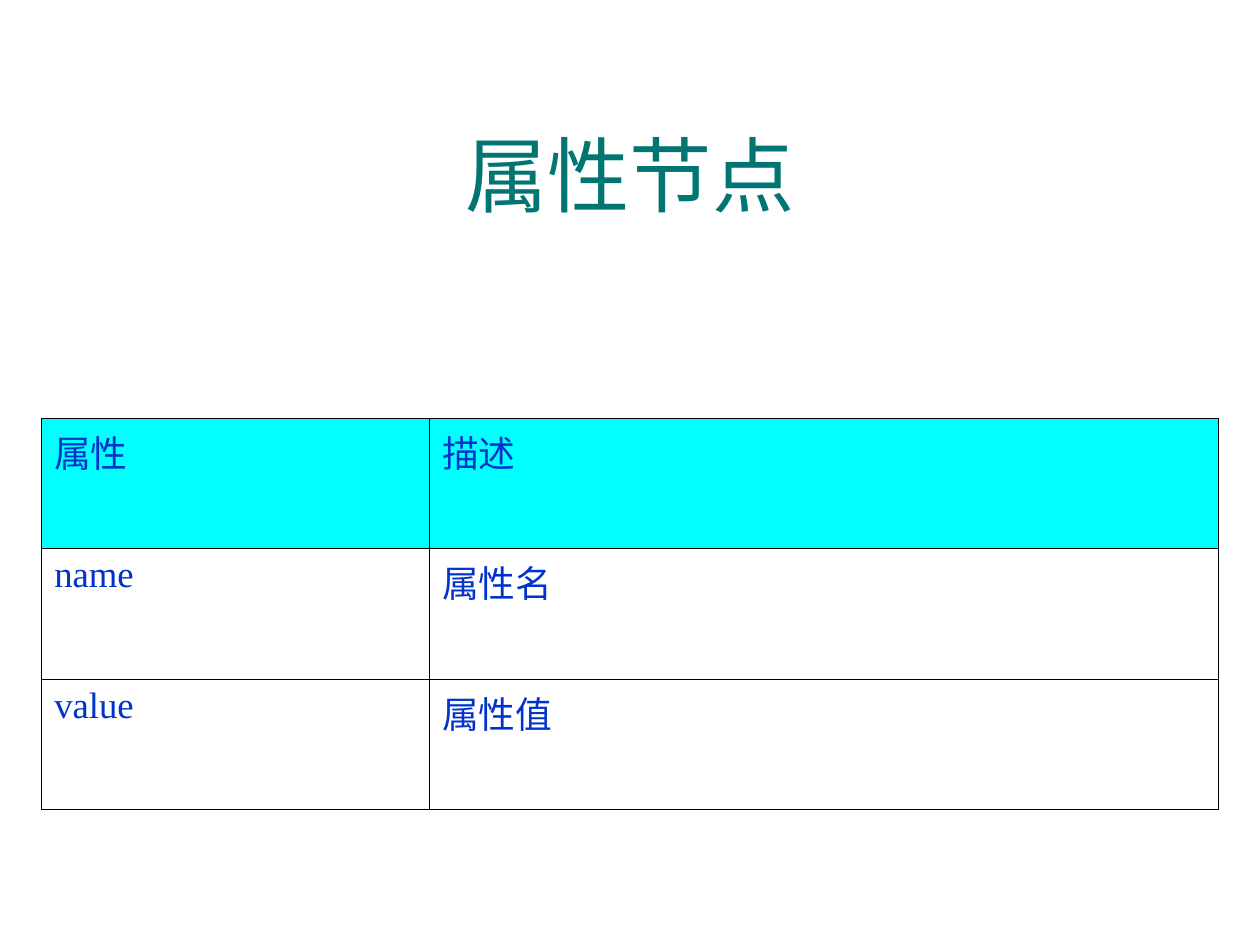
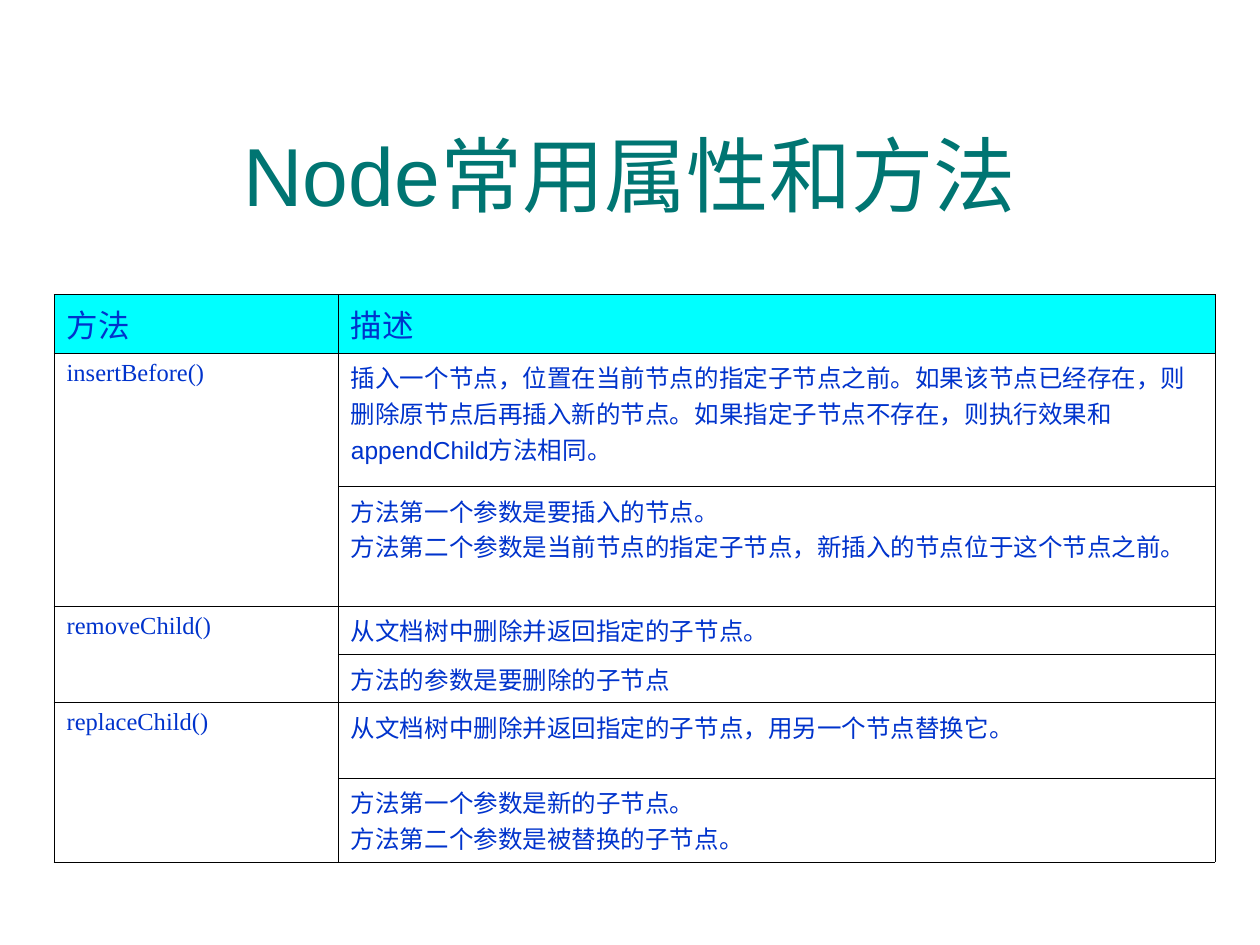
from dataclasses import dataclass

from lxml import etree
from pptx import Presentation
from pptx.dml.color import RGBColor
from pptx.enum import text
from pptx.oxml import ns
from pptx.util import Cm, Pt

COLOURS = {"title": "007572", "body": "0033CC", "header": "00FFFF", "border": "000000"}
TITLE_FONT, BODY_FONT = "Arial", "Times New Roman"
TITLE_ONLY = 5


@dataclass
class Cell:
    lines: str
    font: str = BODY_FONT


@dataclass
class TableSlide:
    title: str
    left: float
    top: float
    columns: list[float]
    row_heights: list[float]
    rows: list[list[Cell | None]]
    header_size: int
    body_size: int
    hanging: float = 0


ATTRIBUTE_NODE = TableSlide(
    title="属性节点",
    left=0.84, top=8.43,
    columns=[7.82, 15.9],
    row_heights=[2.63] * 3,
    rows=[
        [Cell("属性"), Cell("描述")],
        [Cell("name"), Cell("属性名")],
        [Cell("value"), Cell("属性值")],
    ],
    header_size=21, body_size=21, hanging=0.95,
)

# None continues the cell above it.
NODE_METHODS = TableSlide(
    title="Node常用属性和方法",
    left=1.09, top=5.94,
    columns=[5.73, 17.67],
    row_heights=[1.02, 2.69, 2.41, 0.97, 0.97, 1.52, 1.68],
    rows=[
        [Cell("方法"), Cell("描述")],
        [Cell("insertBefore()"),
         Cell("插入一个节点，位置在当前节点的指定子节点之前。如果该节点已经存在，则删除原节点后再插入新的节点。"
              "如果指定子节点不存在，则执行效果和appendChild方法相同。", TITLE_FONT)],
        [None, Cell("方法第一个参数是要插入的节点。\n"
                    "方法第二个参数是当前节点的指定子节点，新插入的节点位于这个节点之前。")],
        [Cell("removeChild()"), Cell("从文档树中删除并返回指定的子节点。")],
        [None, Cell("方法的参数是要删除的子节点")],
        [Cell("replaceChild()"), Cell("从文档树中删除并返回指定的子节点，用另一个节点替换它。")],
        [None, Cell("方法第一个参数是新的子节点。\n方法第二个参数是被替换的子节点。")],
    ],
    header_size=18, body_size=14,
)


def add_run(paragraph, content: str, font: str, size: int, colour: str) -> None:
    run = paragraph.add_run()
    run.text = content
    run.font.name = font
    run.font.size = Pt(size)
    run.font.color.rgb = RGBColor.from_string(COLOURS[colour])


def set_title(slide, content: str) -> None:
    title = slide.shapes.title
    title.left, title.top, title.width, title.height = Cm(0.84), Cm(1.9), Cm(23.72), Cm(3.18)
    frame = title.text_frame
    frame.word_wrap = True
    frame.auto_size = text.MSO_AUTO_SIZE.NONE
    frame.vertical_anchor = text.MSO_ANCHOR.MIDDLE
    paragraph = frame.paragraphs[0]
    paragraph.alignment = text.PP_ALIGN.CENTER
    add_run(paragraph, content, TITLE_FONT, 47, "title")


def add_borders(cell) -> None:
    properties = cell._tc.get_or_add_tcPr()
    for side in ("a:lnL", "a:lnR", "a:lnT", "a:lnB"):
        line = etree.SubElement(properties, ns.qn(side), w=str(Pt(0.45)))
        fill = etree.SubElement(line, ns.qn("a:solidFill"))
        etree.SubElement(fill, ns.qn("a:srgbClr"), val=COLOURS["border"])


def write_cell(cell, content: Cell, size: int, hanging: float) -> None:
    frame = cell.text_frame
    for index, line in enumerate(content.lines.split("\n")):
        paragraph = frame.add_paragraph() if index else frame.paragraphs[0]
        if hanging:
            properties = paragraph._p.get_or_add_pPr()
            properties.set("marL", str(Cm(hanging)))
            properties.set("indent", str(-Cm(hanging)))
        add_run(paragraph, line, content.font, size, "body")


def add_table(slide, layout: TableSlide) -> None:
    table = slide.shapes.add_table(
        len(layout.rows), len(layout.columns), Cm(layout.left), Cm(layout.top),
        Cm(sum(layout.columns)), Cm(sum(layout.row_heights))).table
    table.first_row = table.horz_banding = False
    for column, width in zip(table.columns, layout.columns):
        column.width = Cm(width)
    for row, height in zip(table.rows, layout.row_heights):
        row.height = Cm(height)

    for row_index, row in enumerate(layout.rows):
        for column_index, content in enumerate(row):
            cell = table.cell(row_index, column_index)
            add_borders(cell)
            if row_index == 0:
                cell.fill.solid()
                cell.fill.fore_color.rgb = RGBColor.from_string(COLOURS["header"])
            else:
                cell.fill.background()
            if content is None:
                table.cell(row_index - 1, column_index).merge(cell)
            else:
                size = layout.body_size if row_index else layout.header_size
                write_cell(cell, content, size, layout.hanging)


def main() -> None:
    presentation = Presentation()
    presentation.slide_width, presentation.slide_height = Cm(25.4), Cm(19.05)
    for layout in (ATTRIBUTE_NODE, NODE_METHODS):
        slide = presentation.slides.add_slide(presentation.slide_layouts[TITLE_ONLY])
        set_title(slide, layout.title)
        add_table(slide, layout)
    presentation.save("out.pptx")


if __name__ == "__main__":
    main()
